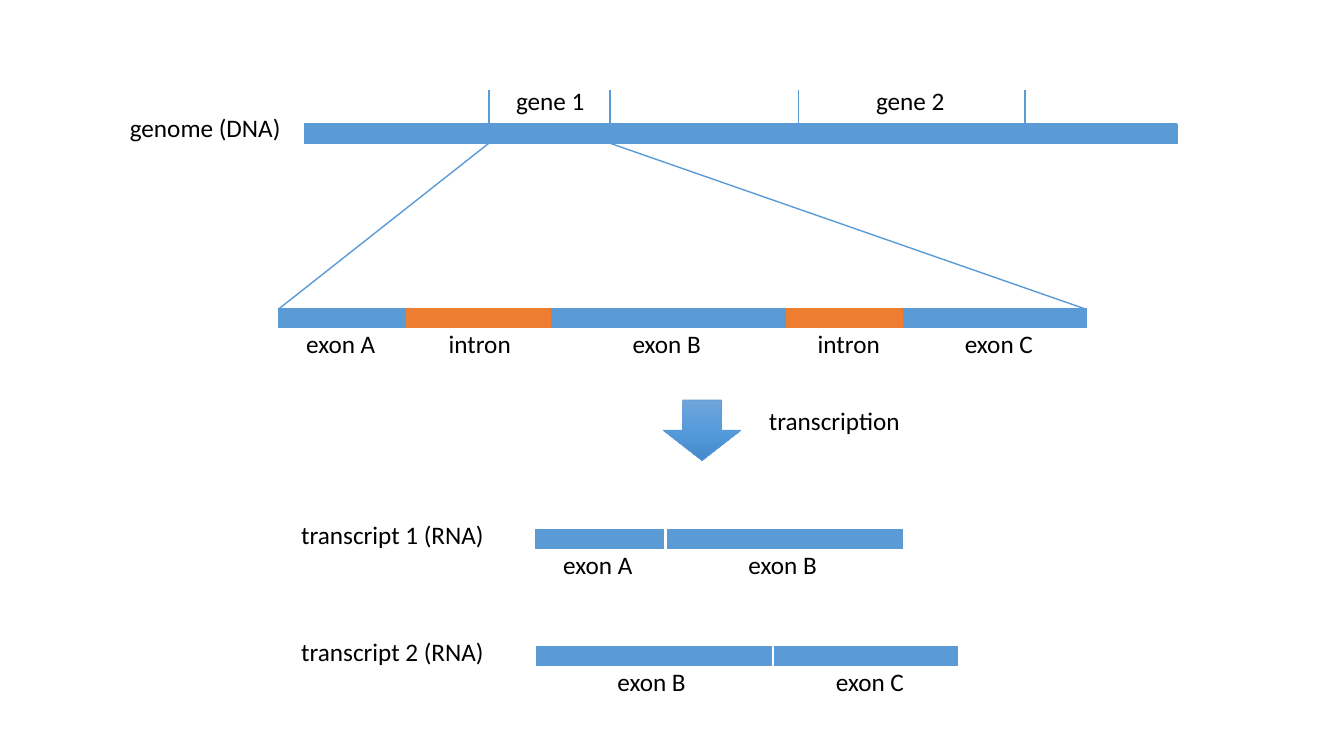
from copy import deepcopy
from dataclasses import dataclass
from typing import NamedTuple

from pptx import Presentation
from pptx import util as u
from pptx.dml import color
from pptx.enum import shapes, text
from pptx.oxml import ns, xmlchemy

Pt = u.Pt
RGB = color.RGBColor


@dataclass(frozen=True)
class Theme:
    blue: RGB = RGB.from_string("5B9BD5")
    orange: RGB = RGB.from_string("ED7D31")
    ink: RGB = RGB.from_string("000000")
    fade: tuple = ((0, "71A6DB"), (0.5, "559BDB"), (1, "448ACA"))
    font: str = "Calibri"
    size: float = 18
    edge: float = 0.5
    rule: float = 1


class Region(NamedTuple):
    name: str
    width: float
    fill: RGB
    nudge: float


class Strand(NamedTuple):
    left: float
    top: float
    gap: float
    regions: tuple
    title: str = ""


class Gene(NamedTuple):
    name: str
    start: float
    end: float
    mid: float


THEME = Theme()
BAR = 13.7
TAG = 77.8
LINE = 28.8
DROP = 10.8

EXON_A = Region("exon A", 91.4, THEME.blue, -1)
EXON_B = Region("exon B", 167.8, THEME.blue, -1.5)
EXON_C = Region("exon C", 131, THEME.blue, 2.9)
INTRON_1 = Region("intron", 103.7, THEME.orange, 0.7)
INTRON_2 = Region("intron", 83.5, THEME.orange, 2.9)

GENE = Strand(198.7, 220.3, 0,
              (EXON_A, INTRON_1, EXON_B, INTRON_2, EXON_C))
RNAS = (
    Strand(382.3, 378, 2.9, (EXON_A, EXON_B), "transcript 1 (RNA)"),
    Strand(383, 461.5, 2.2, (EXON_B, EXON_C), "transcript 2 (RNA)"),
)
GENES = (Gene("gene 1", 349.2, 435.6, 393.1),
         Gene("gene 2", 570.2, 732.2, 650.2))
DNA_X, DNA_Y, DNA_W = 217.4, 88.6, 623.5

deck = Presentation()
deck.slide_width, deck.slide_height = Pt(960), Pt(540)
slide = deck.slides.add_slide(deck.slide_layouts[6])


def draw_line(x1: float, y1: float, x2: float, y2: float) -> None:
    line = slide.shapes.add_connector(
        shapes.MSO_CONNECTOR.STRAIGHT, Pt(x1), Pt(y1), Pt(x2), Pt(y2))
    line.line.color.rgb = THEME.blue
    line.line.width = Pt(THEME.rule)
    line.element.spPr.append(xmlchemy.OxmlElement("a:effectLst"))


def draw_shape(kind: shapes.MSO_SHAPE, x: float, y: float,
               w: float, h: float, fill: RGB):
    shape = slide.shapes.add_shape(kind, Pt(x), Pt(y), Pt(w), Pt(h))
    shape.shadow.inherit = False
    shape.fill.solid()
    shape.fill.fore_color.rgb = fill
    shape.line.color.rgb = fill
    shape.line.width = Pt(THEME.edge)
    return shape


def draw_bar(x: float, y: float, w: float, fill: RGB) -> None:
    draw_shape(shapes.MSO_SHAPE.RECTANGLE, x, y, w, BAR, fill)


def draw_text(words: str, x: float, y: float, w: float,
              align: text.PP_ALIGN = text.PP_ALIGN.LEFT) -> None:
    frame = slide.shapes.add_textbox(
        Pt(x), Pt(y), Pt(w), Pt(LINE)).text_frame
    frame.word_wrap = True
    frame.auto_size = text.MSO_AUTO_SIZE.SHAPE_TO_FIT_TEXT
    para = frame.paragraphs[0]
    para.alignment = align
    run = para.add_run()
    run.text = words
    run.font.name = THEME.font
    run.font.size = Pt(THEME.size)
    run.font.color.rgb = THEME.ink


def draw_tag(words: str, mid: float, y: float) -> None:
    draw_text(words, mid - TAG / 2, y, TAG, text.PP_ALIGN.CENTER)


def draw_strand(row: Strand) -> None:
    x = row.left
    for region in row.regions:
        draw_bar(x, row.top, region.width, region.fill)
        draw_tag(region.name, x + region.width / 2 + region.nudge,
                 row.top + DROP)
        x += region.width + row.gap
    if row.title:
        draw_text(row.title, 208.1, row.top - DROP, 191.5)


def draw_arrow(x: float, y: float, w: float, h: float) -> None:
    arrow = draw_shape(shapes.MSO_SHAPE.DOWN_ARROW, x, y, w, h, THEME.blue)
    arrow.fill.gradient()
    arrow.fill.gradient_angle = 270
    stops = arrow.element.spPr.find(ns.qn("a:gradFill")).find(
        ns.qn("a:gsLst"))
    stops.append(deepcopy(stops[0]))
    for stop, (place, tone) in zip(arrow.fill.gradient_stops, THEME.fade):
        stop.position = place
        stop.color.rgb = RGB.from_string(tone)


draw_line(DNA_X, DNA_Y, DNA_X + DNA_W, DNA_Y)
for gene in GENES:
    for edge in (gene.start, gene.end):
        draw_line(edge, 64.1, edge, 100.8)
    draw_tag(gene.name, gene.mid, 57.6)
draw_text("genome (DNA)", 85.7, 77, 136.8)
draw_bar(DNA_X, DNA_Y, DNA_W, THEME.blue)

draw_strand(GENE)
right = GENE.left + sum(region.width for region in GENE.regions)
for top, foot in ((GENES[0].start, GENE.left), (GENES[0].end, right)):
    draw_line(top, DNA_Y + BAR, foot, 221)

draw_arrow(473.8, 285.8, 55.4, 43.2)
draw_text("transcription", 542.2, 285.8, 191.5)

for rna in RNAS:
    draw_strand(rna)

deck.save("out.pptx")
